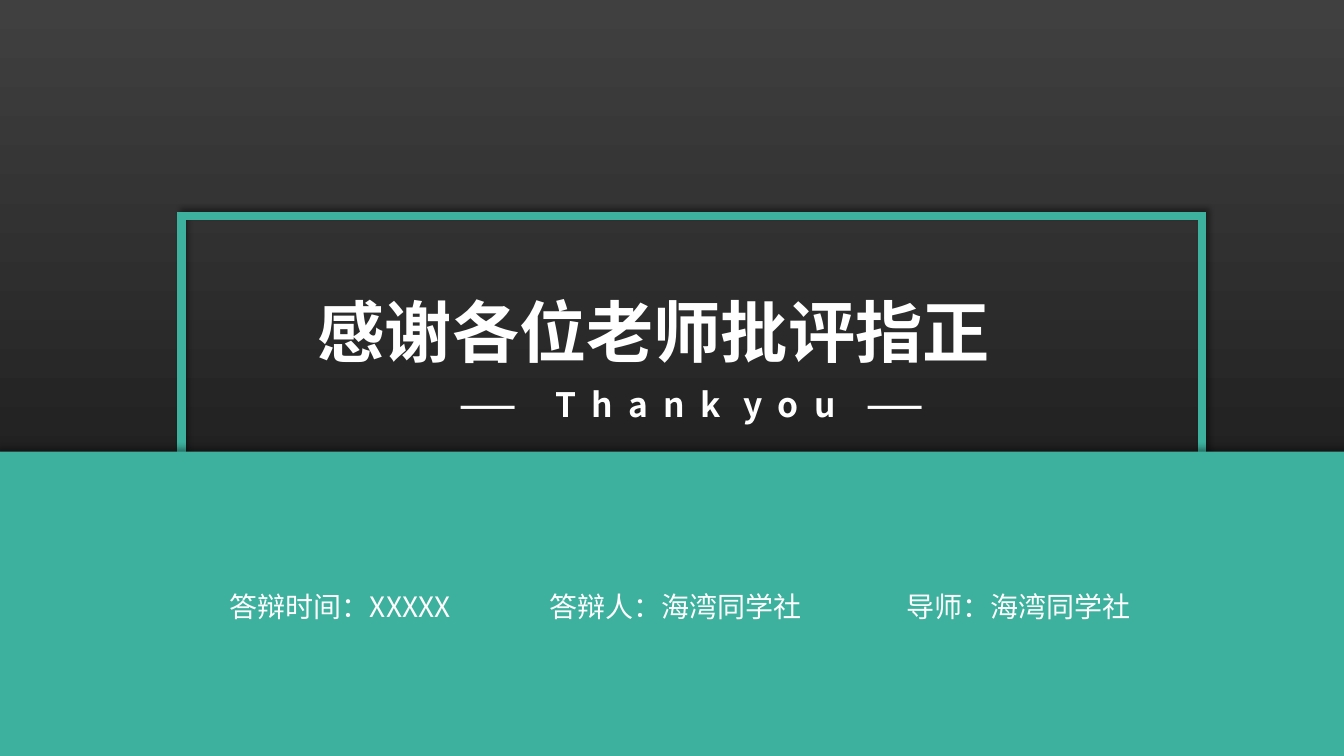
from dataclasses import dataclass

from lxml.etree import SubElement
from pptx import Presentation
from pptx.dml.color import RGBColor
from pptx.enum.shapes import MSO_SHAPE
from pptx.enum.text import MSO_ANCHOR, MSO_AUTO_SIZE, PP_ALIGN
from pptx.oxml.ns import qn
from pptx.shapes.autoshape import Shape
from pptx.slide import Slide
from pptx.util import Inches, Pt


@dataclass(frozen=True)
class Theme:
    font: str = "Noto Sans CJK SC"
    accent: RGBColor = RGBColor(0x3D, 0xB1, 0x9E)
    text: RGBColor = RGBColor(0xFF, 0xFF, 0xFF)
    background_top: RGBColor = RGBColor(0x40, 0x40, 0x40)
    background_bottom: RGBColor = RGBColor(0x0D, 0x0D, 0x0D)
    shadow: str = "000000"
    title_size: int = 48
    subtitle_size: int = 24
    detail_size: int = 20


@dataclass(frozen=True)
class Box:
    left: float
    top: float
    width: float
    height: float

    def lengths(self) -> tuple[int, int, int, int]:
        return (Inches(self.left), Inches(self.top),
                Inches(self.width), Inches(self.height))


@dataclass(frozen=True)
class Piece:
    text: str
    spacing: float = 0  # extra points after each character


@dataclass(frozen=True)
class TextLine:
    box: Box
    pieces: tuple[Piece, ...]
    size: int
    bold: bool = False
    alignment: PP_ALIGN = PP_ALIGN.LEFT
    line_spacing: float = 1.0


THEME = Theme()

FRAME = Box(1.8, 2.14, 10.12, 3.09)
BAND = Box(-0.04, 4.48, 13.41, 3.06)

TITLE = TextLine(Box(3.05, 2.43, 7.62, 1.2), (Piece("感谢各位老师批评指正"),),
                 THEME.title_size, True, PP_ALIGN.JUSTIFY, 1.5)

# Letter-spaced words between two dashes
LETTER_GAP = 10.9
SUBTITLE = TextLine(
    Box(3.05, 3.56, 7.62, 0.66),
    (Piece("——"), Piece(" ", 2 * LETTER_GAP), Piece("Thank", LETTER_GAP), Piece(" "),
     Piece("yo", LETTER_GAP), Piece("u"), Piece(" ", 1.5 * LETTER_GAP), Piece("——")),
    THEME.subtitle_size, True, PP_ALIGN.CENTER, 1.5)

DETAILS = [
    TextLine(Box(left, 5.8, 3.03, 0.44), (Piece(text),), THEME.detail_size)
    for left, text in ((2.18, "答辩时间：XXXXX"),
                       (5.35, "答辩人：海湾同学社"),
                       (8.89, "导师：海湾同学社"))
]


def paint_background(slide: Slide) -> None:
    fill = slide.background.fill
    fill.gradient()
    fill.gradient_angle = 270
    colors = (THEME.background_top, THEME.background_bottom)
    for position, (stop, color) in enumerate(zip(fill.gradient_stops, colors)):
        stop.position = position
        stop.color.rgb = color


def add_rectangle(slide: Slide, box: Box, shadow_angle: int) -> Shape:
    shape = slide.shapes.add_shape(MSO_SHAPE.RECTANGLE, *box.lengths())
    shape.shadow.inherit = False
    effects = shape._element.spPr.find(qn("a:effectLst"))
    shadow = SubElement(effects, qn("a:outerShdw"), blurRad=str(Pt(4)),
                        dist=str(Pt(3)), dir=str(shadow_angle * 60000),
                        algn="ctr", rotWithShape="0")
    color = SubElement(shadow, qn("a:srgbClr"), val=THEME.shadow)
    SubElement(color, qn("a:alpha"), val="40000")
    return shape


def add_frame(slide: Slide) -> None:
    frame = add_rectangle(slide, FRAME, 315)
    frame.fill.background()
    frame.line.color.rgb = THEME.accent
    frame.line.width = Pt(6)
    SubElement(frame._element.spPr.find(qn("a:ln")), qn("a:miter"), lim="800000")


def add_band(slide: Slide) -> None:
    band = add_rectangle(slide, BAND, 270)
    band.fill.solid()
    band.fill.fore_color.rgb = THEME.accent
    band.line.fill.background()


def write_line(shape: Shape, line: TextLine) -> None:
    shape.left, shape.top, shape.width, shape.height = line.box.lengths()
    frame = shape.text_frame
    frame.word_wrap = True
    frame.auto_size = MSO_AUTO_SIZE.SHAPE_TO_FIT_TEXT
    frame.vertical_anchor = MSO_ANCHOR.TOP
    paragraph = frame.paragraphs[0]
    paragraph.alignment = line.alignment
    paragraph.line_spacing = line.line_spacing
    for piece in line.pieces:
        run = paragraph.add_run()
        run.text = piece.text
        run.font.size = Pt(line.size)
        run.font.bold = line.bold
        run.font.color.rgb = THEME.text
        run.font.name = THEME.font
        properties = run._r.get_or_add_rPr()
        SubElement(properties, qn("a:ea"), typeface=THEME.font)
        if piece.spacing:
            properties.set("spc", str(round(piece.spacing * 100)))


def main() -> None:
    presentation = Presentation()
    presentation.slide_width = Inches(13.33)
    presentation.slide_height = Inches(7.5)
    slide = presentation.slides.add_slide(presentation.slide_layouts.get_by_name("Title Only"))

    # Backdrop
    paint_background(slide)
    add_frame(slide)
    add_band(slide)

    # Title, moved in front of the backdrop
    title = slide.shapes.title
    slide.shapes._spTree.append(title._element)
    write_line(title, TITLE)

    # Subtitle and details
    for line in (SUBTITLE, *DETAILS):
        write_line(slide.shapes.add_textbox(*line.box.lengths()), line)

    presentation.save("out.pptx")


if __name__ == "__main__":
    main()
